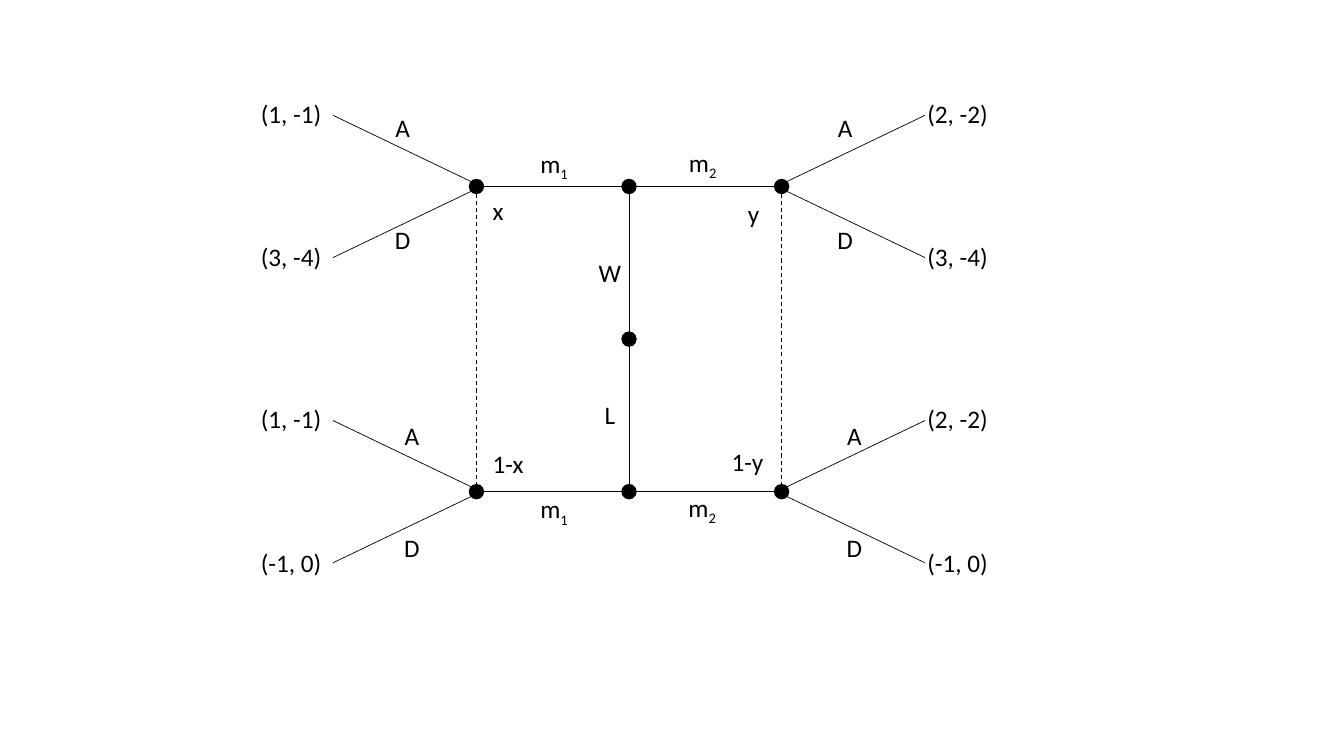
from dataclasses import dataclass
from lxml.etree import SubElement
from pptx import Presentation
from pptx.dml.color import RGBColor
from pptx.enum.dml import MSO_LINE
from pptx.enum.shapes import MSO_CONNECTOR, MSO_SHAPE
from pptx.enum.text import MSO_AUTO_SIZE
from pptx.oxml.ns import qn
from pptx.util import Pt


@dataclass(frozen=True)
class Theme:
    ink: RGBColor = RGBColor(0, 0, 0)
    font: str = "Calibri"
    size: int = 18
    wire: float = 0.5
    dashed: float = 0.75
    outline: float = 1


THEME = Theme()

# Outer legs: (side, row, upper pair, lower pair)
VERTICES = [
    (-1, -1, "(1, -1)", "(3, -4)"),
    (1, -1, "(2, -2)", "(3, -4)"),
    (-1, 1, "(1, -1)", "(-1, 0)"),
    (1, 1, "(2, -2)", "(-1, 0)"),
]
# Inner labels: (text, subscript, centre x, centre y)
INNER_LABELS = [
    ("W", "", 436, 195),
    ("L", "", 436, 296),
    ("m", "1", 396.5, 116.5),
    ("m", "2", 502.7, 116),
    ("m", "1", 396.5, 363.5),
    ("m", "2", 502.3, 362.3),
    ("x", "", 356, 150.5),
    ("y", "", 538.6, 152.6),
    ("1-x", "", 363.2, 331.2),
    ("1-y", "", 534.2, 329.8),
]
LABEL_WIDTHS = {"W": 31, "L": 22.3, "m": 35.3, "x": 22.3, "y": 23,
                "1-x": 36.7, "1-y": 37.4, "A": 25.2, "D": 25.9}
PAIR_WIDTH, LABEL_HEIGHT = 58.3, 28.8

MIDDLE_X, MIDDLE_Y, STEP = 449.3, 242.2, 109
RADIUS = 5
LEG_START, LEG_END = (3.8, 3.5), (102.4, 50.8)
PAIR_OFFSET_X, PAIR_OFFSET_Y = 238, 51.2
LETTER_OFFSET_X, LETTER_OFFSET_Y = 158, 40
LETTER_SHIFT = 3.3  # letters lie further right in the lower row

deck = Presentation()
deck.slide_width, deck.slide_height = Pt(960), Pt(540)
page = deck.slides.add_slide(deck.slide_layouts[6])


def add_line(start, end, width=THEME.wire, dash=None):
    line = page.shapes.add_connector(
        MSO_CONNECTOR.STRAIGHT, *(Pt(value) for value in (*start, *end)))
    line.line.color.rgb = THEME.ink
    line.line.width = Pt(width)
    if dash:
        line.line.dash_style = dash
    SubElement(line._element.spPr, qn("a:effectLst"))


def add_node(x, y):
    node = page.shapes.add_shape(MSO_SHAPE.OVAL, Pt(x - RADIUS), Pt(y - RADIUS),
                                 Pt(2 * RADIUS), Pt(2 * RADIUS))
    node.shadow.inherit = False
    node.fill.solid()
    node.fill.fore_color.rgb = THEME.ink
    node.line.color.rgb = THEME.ink
    node.line.width = Pt(THEME.outline)


def add_label(text, subscript, x, y):
    """Centre a label on (x, y)."""
    width = LABEL_WIDTHS.get(text, PAIR_WIDTH)
    box = page.shapes.add_textbox(Pt(x - width / 2), Pt(y - LABEL_HEIGHT / 2),
                                  Pt(width), Pt(LABEL_HEIGHT))
    box.text_frame.word_wrap = False
    box.text_frame.auto_size = MSO_AUTO_SIZE.SHAPE_TO_FIT_TEXT
    para = box.text_frame.paragraphs[0]
    para.font.name = THEME.font
    para.font.size = Pt(THEME.size)
    para.font.color.rgb = THEME.ink
    para.add_run().text = text
    if subscript:
        span = para.add_run()
        span.text = subscript
        span._r.get_or_add_rPr().set("baseline", "-25000")


for side in (-1, 1):
    rail_x, rail_y = MIDDLE_X + side * STEP, MIDDLE_Y + side * STEP
    add_line((rail_x, MIDDLE_Y - STEP + RADIUS), (rail_x, MIDDLE_Y + STEP - RADIUS),
             THEME.dashed, MSO_LINE.DASH)
    add_line((MIDDLE_X, MIDDLE_Y + side * RADIUS), (MIDDLE_X, rail_y - side * RADIUS))
    add_node(MIDDLE_X, rail_y)
add_node(MIDDLE_X, MIDDLE_Y)

for side, row, upper_pair, lower_pair in VERTICES:
    x, y = MIDDLE_X + side * STEP, MIDDLE_Y + row * STEP
    add_line((MIDDLE_X + side * RADIUS, y), (x - side * RADIUS, y))
    add_node(x, y)
    letter_x = MIDDLE_X + side * LETTER_OFFSET_X + row * LETTER_SHIFT
    for direction, letter, pair in ((-1, "A", upper_pair), (1, "D", lower_pair)):
        start, end = ((x + side * across, y + direction * down)
                      for across, down in (LEG_START, LEG_END))
        add_line(start, end)
        add_label(letter, "", letter_x, y + direction * LETTER_OFFSET_Y
                  + (row - 1) * 0.9)
        add_label(pair, "", MIDDLE_X - 2.9 + side * PAIR_OFFSET_X,
                  y + direction * PAIR_OFFSET_Y - 0.9)

for label in INNER_LABELS:
    add_label(*label)

deck.save("out.pptx")
